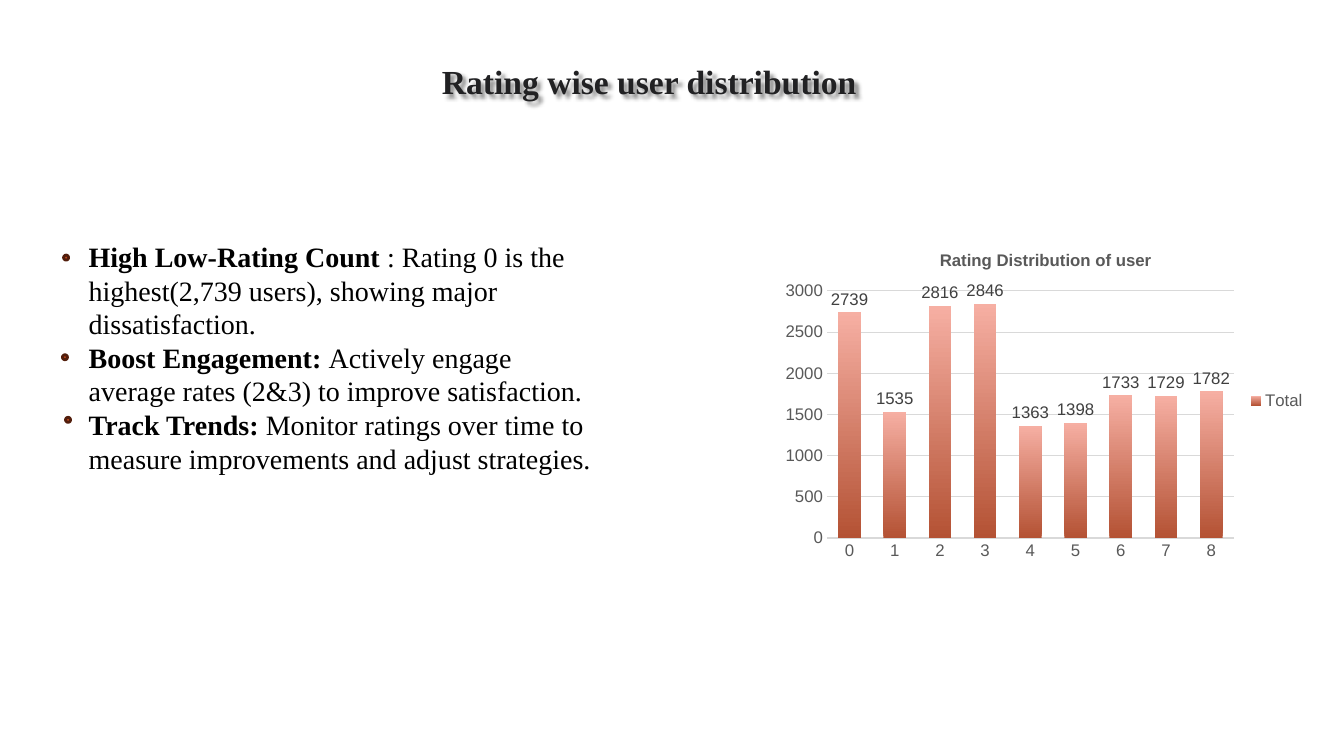
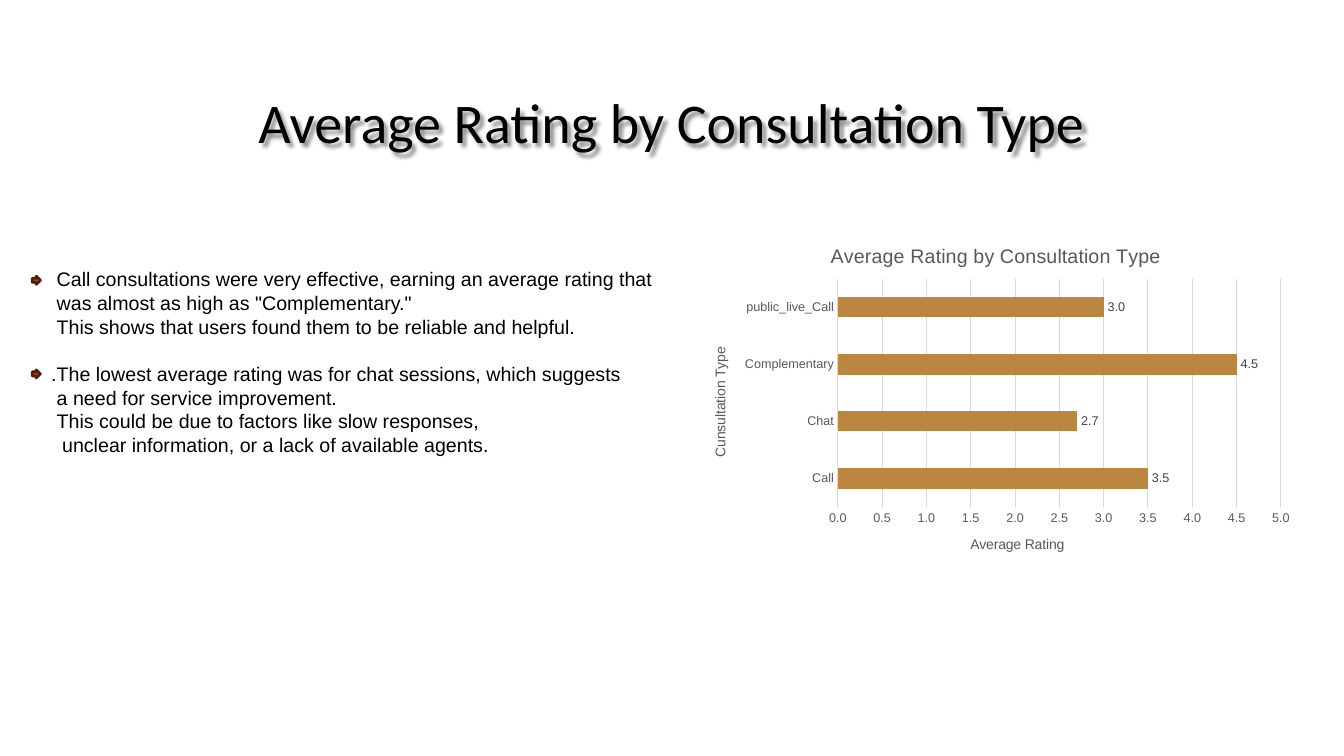
"""Build two slides on user ratings, each with a title, marked points and a chart."""

from dataclasses import dataclass
from typing import Any, Optional

import lxml.etree
import pptx
import pptx.chart.data
import pptx.dml.color
import pptx.enum.chart
import pptx.enum.shapes
import pptx.enum.text
import pptx.oxml
import pptx.oxml.ns
import pptx.util

Pt = pptx.util.Pt
BLACK, TITLE_INK = "000000", "212123"
AXIS_INK, LABEL_INK, GRID = "595959", "404040", "D9D9D9"
MARKER_FILL, MARKER_LINE = "BC451B", "521E0C"
SERIF, SANS, TITLE_SANS = "Times New Roman", "Arial", "Calibri"
TITLE_SIZE = (815, 76.3)


@dataclass(frozen=True)
class Box:
    left: float
    top: float
    width: float
    height: float

    def lengths(self) -> tuple[int, ...]:
        return tuple(Pt(value) for value in (self.left, self.top, self.width, self.height))


@dataclass(frozen=True)
class Line:
    text: str
    lead: str = ""
    indent: float = 0
    before: float = 0


@dataclass(frozen=True)
class Body:
    box: Box
    lines: tuple[Line, ...]
    font: str
    size: float
    spacing: float


@dataclass(frozen=True)
class Markers:
    shape: Any
    size: float
    positions: tuple[tuple[float, float], ...]


@dataclass(frozen=True)
class Plot:
    box: Box
    area: Box
    kind: Any
    title: str
    title_size: float
    title_bold: bool
    series: str
    categories: tuple[str, ...]
    values: tuple[float, ...]
    colors: tuple[str, ...]
    gap: int
    overlap: int
    size: float
    maximum: float
    step: float
    number_format: str
    category_line: float
    legend: bool = False
    category_title: Optional[str] = None
    value_title: Optional[str] = None


def color(value: str) -> pptx.dml.color.RGBColor:
    return pptx.dml.color.RGBColor.from_string(value)


def style_font(font: Any, *, name: str, size: float, ink: str, bold: bool = False) -> None:
    font.name, font.size, font.bold = name, Pt(size), bold
    font.color.rgb = color(ink)


def add_text(paragraph: Any, text: str, **style: Any) -> None:
    run = paragraph.add_run()
    run.text = text
    style_font(run.font, **style)


def add_title(slide: Any, text: str, left: float, top: float, *, lift: float = 0, **style: Any) -> None:
    shape = slide.shapes.add_textbox(*Box(left, top, *TITLE_SIZE).lengths())
    frame = shape.text_frame
    frame.word_wrap = True
    frame.vertical_anchor = pptx.enum.text.MSO_ANCHOR.MIDDLE
    frame.margin_bottom = Pt(3.6 + lift)
    paragraph = frame.paragraphs[0]
    paragraph.alignment = pptx.enum.text.PP_ALIGN.CENTER
    add_text(paragraph, text, **style)
    shape.element.spPr.append(pptx.oxml.parse_xml(
        f'<a:effectLst {pptx.oxml.ns.nsdecls("a")}>'
        '<a:outerShdw blurRad="38100" dist="38100" dir="2700000" algn="tl">'
        '<a:srgbClr val="000000"><a:alpha val="43000"/></a:srgbClr>'
        '</a:outerShdw></a:effectLst>'))


def add_body(slide: Any, body: Body) -> None:
    frame = slide.shapes.add_textbox(*body.box.lengths()).text_frame
    frame.word_wrap = True
    for index, line in enumerate(body.lines):
        paragraph = frame.add_paragraph() if index else frame.paragraphs[0]
        paragraph.line_spacing = Pt(body.spacing)
        paragraph.space_before = Pt(line.before)
        if line.indent:
            paragraph._p.get_or_add_pPr().set("marL", str(Pt(line.indent)))
        for text, bold in ((line.lead, True), (line.text, False)):
            if text:
                add_text(paragraph, text, name=body.font, size=body.size, ink=BLACK, bold=bold)


def add_markers(slide: Any, markers: Markers) -> None:
    for left, top in markers.positions:
        box = Box(left, top, markers.size, markers.size)
        shape = slide.shapes.add_shape(markers.shape, *box.lengths())
        shape.shadow.inherit = False
        shape.fill.solid()
        shape.fill.fore_color.rgb = color(MARKER_FILL)
        shape.line.color.rgb = color(MARKER_LINE)
        shape.line.width = Pt(2)


def set_plot_area(chart: Any, box: Box, area: Box) -> None:
    """Place the inner plot area, given in points from the chart corner."""
    plot_area = chart._chartSpace.chart.plotArea
    for layout in plot_area.findall(pptx.oxml.ns.qn("c:layout")):
        plot_area.remove(layout)
    layout = pptx.oxml.parse_xml(f'<c:layout {pptx.oxml.ns.nsdecls("c")}/>')
    manual = lxml.etree.SubElement(layout, pptx.oxml.ns.qn("c:manualLayout"))
    settings = {
        "layoutTarget": "inner", "xMode": "edge", "yMode": "edge",
        "x": area.left / box.width, "y": area.top / box.height,
        "w": area.width / box.width, "h": area.height / box.height,
    }
    for tag, value in settings.items():
        lxml.etree.SubElement(manual, pptx.oxml.ns.qn(f"c:{tag}")).set("val", str(value))
    plot_area.insert(0, layout)


def set_heading(owner: Any, text: str, size: float, bold: bool = False) -> None:
    heading = owner.chart_title if hasattr(owner, "chart_title") else owner.axis_title
    add_text(heading.text_frame.paragraphs[0], text, name=SANS, size=size, ink=AXIS_INK, bold=bold)


def style_axes(chart: Any, plot: Plot) -> None:
    category, value = chart.category_axis, chart.value_axis
    for axis, title in ((category, plot.category_title), (value, plot.value_title)):
        axis.major_tick_mark = axis.minor_tick_mark = pptx.enum.chart.XL_TICK_MARK.NONE
        style_font(axis.tick_labels.font, name=SANS, size=plot.size, ink=AXIS_INK)
        axis.has_title = title is not None
        if title:
            set_heading(axis, title, 10)
    category.format.line.color.rgb = color(GRID)
    category.format.line.width = Pt(plot.category_line)
    category.has_major_gridlines = False
    value.format.line.fill.background()
    value.has_major_gridlines = True
    value.major_gridlines.format.line.color.rgb = color(GRID)
    value.major_gridlines.format.line.width = Pt(0.75)
    value.minimum_scale, value.maximum_scale, value.major_unit = 0, plot.maximum, plot.step
    value.tick_labels.number_format = plot.number_format
    value.tick_labels.number_format_is_linked = False


def style_bars(chart: Any, plot: Plot) -> None:
    bars = chart.plots[0]
    bars.gap_width, bars.overlap, bars.vary_by_categories = plot.gap, plot.overlap, False
    fill = bars.series[0].format.fill
    if len(plot.colors) > 1:
        fill.gradient()
        fill.gradient_angle = 90
        for stop, value in zip(fill.gradient_stops, plot.colors):
            stop.color.rgb = color(value)
    else:
        fill.solid()
        fill.fore_color.rgb = color(plot.colors[0])
    labels = bars.series[0].data_labels
    labels.show_value = True
    labels.position = pptx.enum.chart.XL_LABEL_POSITION.OUTSIDE_END
    labels.number_format, labels.number_format_is_linked = plot.number_format, False
    style_font(labels.font, name=SANS, size=plot.size, ink=LABEL_INK)


def add_plot(slide: Any, plot: Plot) -> None:
    data = pptx.chart.data.CategoryChartData()
    data.categories = plot.categories
    data.add_series(plot.series, plot.values)
    chart = slide.shapes.add_chart(plot.kind, *plot.box.lengths(), data).chart
    style_font(chart.font, name=SANS, size=10, ink=BLACK)
    chart.has_title = True
    set_heading(chart, plot.title, plot.title_size, plot.title_bold)
    chart.has_legend = plot.legend
    if plot.legend:
        chart.legend.position = pptx.enum.chart.XL_LEGEND_POSITION.RIGHT
        chart.legend.include_in_layout = False
        style_font(chart.legend.font, name=SANS, size=plot.size, ink=AXIS_INK)
    style_axes(chart, plot)
    style_bars(chart, plot)
    set_plot_area(chart, plot.box, plot.area)


RATING_BODY = Body(Box(56.2, 167.8, 375, 201), (
    Line(": Rating 0 is the highest(2,739 users), showing major dissatisfaction.", "High Low-Rating Count "),
    Line("Actively engage average rates (2&3) to improve satisfaction.", "Boost Engagement: "),
    Line("Monitor ratings over time to measure improvements and adjust strategies.", "Track Trends: "),
), SERIF, 20, 23.95)
RATING_MARKERS = Markers(
    pptx.enum.shapes.MSO_SHAPE.FLOWCHART_CONNECTOR, 3.6, ((45.4, 182.2), (44.6, 253.4), (46.8, 298.1)))
RATING_PLOT = Plot(
    box=Box(553.7, 167.8, 386.6, 236.9), area=Box(37, 40, 290.7, 176.7),
    kind=pptx.enum.chart.XL_CHART_TYPE.COLUMN_CLUSTERED,
    title="Rating Distribution of user", title_size=12, title_bold=True,
    series="Total", categories=tuple(str(rating) for rating in range(9)),
    values=(2739, 1535, 2816, 2846, 1363, 1398, 1733, 1729, 1782),
    colors=("B45234", "F6AFA3"), gap=100, overlap=-24, size=12,
    maximum=3000, step=500, number_format="General", category_line=1, legend=True)

CONSULTATION_BODY = Body(Box(29.5, 187.2, 446.4, 143.3), (
    Line("Call consultations were very effective, earning an average rating that", indent=3.9),
    Line('was almost as high as "Complementary."', indent=3.9),
    Line("This shows that users found them to be reliable and helpful.", indent=3.9),
    Line(".The lowest average rating was for chat sessions, which suggests", before=16.9),
    Line("a need for service improvement.", indent=3.9),
    Line("This could be due to factors like slow responses,", indent=3.9),
    Line("unclear information, or a lack of available agents.", indent=7.8),
), SANS, 14, 16.9)
CONSULTATION_MARKERS = Markers(
    pptx.enum.shapes.MSO_SHAPE.RIGHT_ARROW, 5.8, ((23, 197.3), (23, 264.2)))
CONSULTATION_PLOT = Plot(
    box=Box(492.5, 162.7, 437.8, 248.4), area=Box(106, 36.5, 316.5, 163),
    kind=pptx.enum.chart.XL_CHART_TYPE.BAR_CLUSTERED,
    title="Average Rating by Consultation Type", title_size=14, title_bold=False,
    series="Series 1", categories=("Call", "Chat", "Complementary", "public_live_Call"),
    values=(3.5, 2.7, 4.5, 3), colors=("BB8640",), gap=182, overlap=0, size=9,
    maximum=5, step=0.5, number_format="0.0", category_line=0.75,
    category_title="Cunsultation Type", value_title="Average Rating")


def main() -> None:
    presentation = pptx.Presentation()
    presentation.slide_width, presentation.slide_height = Pt(960), Pt(540)
    blank = presentation.slide_layouts[6]

    slide = presentation.slides.add_slide(blank)
    add_title(slide, "Rating wise user distribution", 56.2, 33.8, lift=27.6,
              name=SERIF, size=24, ink=TITLE_INK, bold=True)
    add_plot(slide, RATING_PLOT)
    add_body(slide, RATING_BODY)
    add_markers(slide, RATING_MARKERS)

    slide = presentation.slides.add_slide(blank)
    add_title(slide, "Average Rating by Consultation Type", 72, 48.2,
              name=TITLE_SANS, size=40, ink=BLACK)
    add_plot(slide, CONSULTATION_PLOT)
    add_body(slide, CONSULTATION_BODY)
    add_markers(slide, CONSULTATION_MARKERS)

    presentation.save("out.pptx")


if __name__ == "__main__":
    main()
